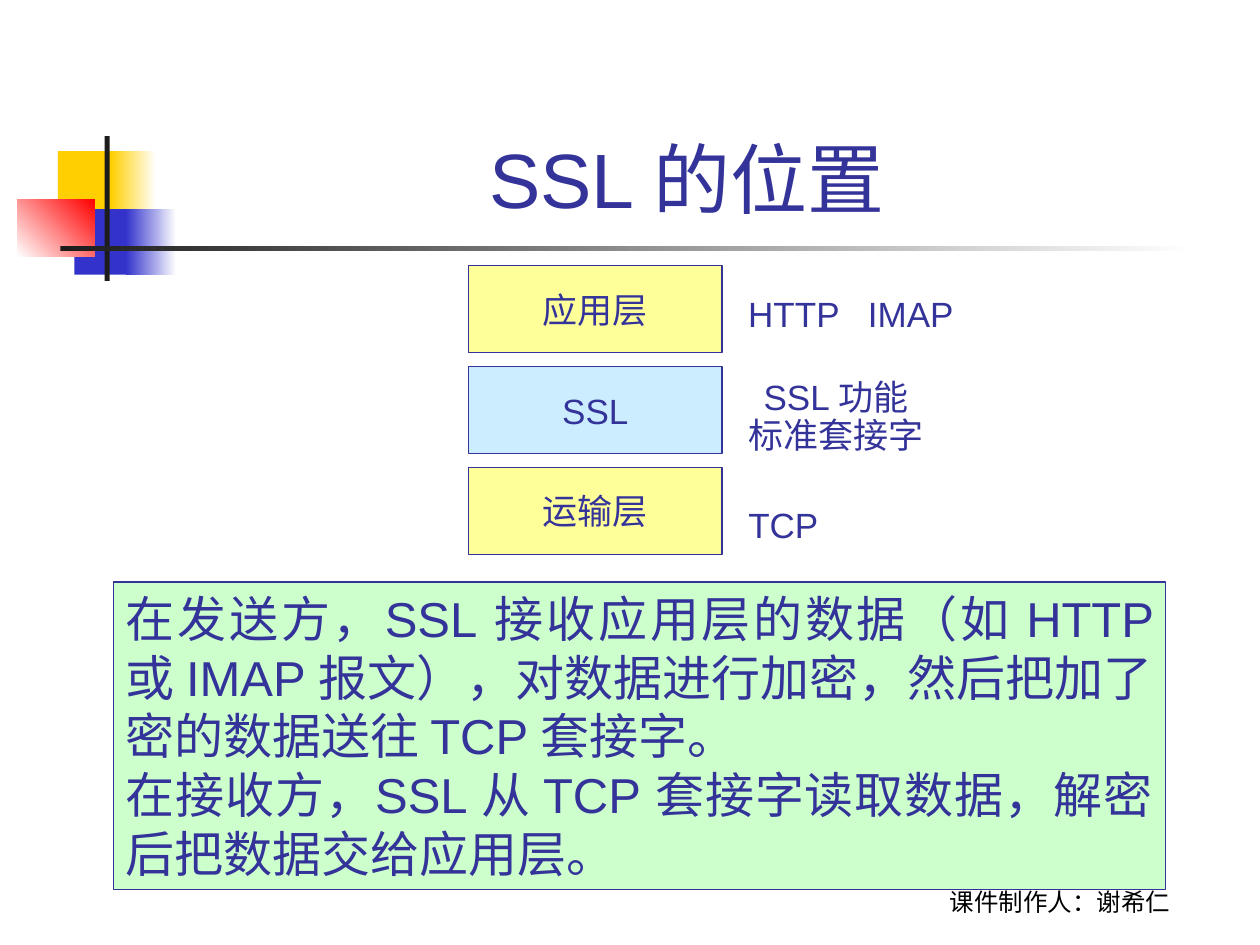
from dataclasses import dataclass

from lxml.etree import SubElement
from pptx import Presentation
from pptx.dml.color import RGBColor
from pptx.enum.shapes import MSO_SHAPE
from pptx.enum.text import MSO_ANCHOR, MSO_AUTO_SIZE, PP_ALIGN
from pptx.oxml.ns import qn
from pptx.util import Inches, Pt


@dataclass(frozen=True)
class Theme:
    ink: str = "333399"
    black: str = "000000"
    bar: str = "1C1C1C"
    white: str = "FFFFFF"
    gold: str = "FFCF01"
    blue: str = "3333CC"
    red: str = "FF0000"
    layer: str = "FFFF99"
    ssl: str = "CCECFF"
    note: str = "CCFFCC"
    font: str = "Arial"
    credit_font: str = "Cabin"
    title_size: int = 44
    note_size: int = 28
    label_size: int = 20
    credit_size: int = 14


THEME = Theme()


def set_all(target, values):
    for name, value in values.items():
        setattr(target, name, value)


def write(shape, lines, size, align=PP_ALIGN.LEFT, color=THEME.ink,
          font=THEME.font, spacing=None, **frame_format):
    frame = shape.text_frame
    set_all(frame, {"word_wrap": True, "auto_size": MSO_AUTO_SIZE.NONE,
                    "vertical_anchor": MSO_ANCHOR.TOP, **frame_format})
    frame.text = "\n".join(lines)
    for paragraph in frame.paragraphs:
        set_all(paragraph, {"alignment": align, "line_spacing": spacing})
        run_font = paragraph.runs[0].font
        set_all(run_font, {"size": Pt(size), "name": font})
        run_font.color.rgb = RGBColor.from_string(color)


def add_box(slide, place, colors, angle=0, outline=None):
    box = slide.shapes.add_shape(MSO_SHAPE.RECTANGLE, *map(Inches, place))
    box.shadow.inherit = False
    if len(colors) == 1:
        box.fill.solid()
        box.fill.fore_color.rgb = RGBColor.from_string(colors[0])
    else:
        box.fill.gradient()
        box.fill.gradient_angle = angle
        for stop, color in zip(box.fill.gradient_stops, colors):
            stop.color.rgb = RGBColor.from_string(color)
    if outline:
        box.line.color.rgb = RGBColor.from_string(outline)
        box.line.width = Pt(0.75)
    else:
        box.line.fill.background()
    return box


def add_text(slide, place, lines, size, **text_format):
    label = slide.shapes.add_textbox(*map(Inches, place))
    write(label, lines, size, **text_format)
    return label


def add_tab_stop(label, position):
    properties = label.text_frame.paragraphs[0]._p.get_or_add_pPr()
    stops = SubElement(properties, qn("a:tabLst"))
    SubElement(stops, qn("a:tab"), pos=str(Inches(position)), algn="l")


def add_ornament(slide):
    for place, colors, angle in (
        ((0.46, 1.2, 0.48, 0.52), [THEME.gold], 0),
        ((0.88, 1.2, 0.36, 0.52), [THEME.gold, THEME.white], 0),
        ((0.59, 1.66, 0.46, 0.52), [THEME.blue], 0),
        ((1, 1.66, 0.4, 0.52), [THEME.blue, THEME.white], 0),
        ((0.14, 1.58, 0.61, 0.46), [THEME.white, THEME.red], 45),
        ((0.83, 1.08, 0.04, 1.15), [THEME.bar], 0),
        ((0.48, 1.95, 9, 0.04), [THEME.bar, THEME.white], 0),
    ):
        add_box(slide, place, colors, angle)


def add_title(slide, text):
    title = slide.shapes.title
    set_all(title, {"left": Inches(1.26), "top": Inches(0.23),
                    "width": Inches(8.52), "height": Inches(1.6)})
    write(title, [text], THEME.title_size, PP_ALIGN.CENTER,
          vertical_anchor=MSO_ANCHOR.BOTTOM)


def add_layers(slide):
    layers = (("应用层", THEME.layer), ("SSL", THEME.ssl), ("运输层", THEME.layer))
    for row, (name, color) in enumerate(layers):
        layer = add_box(slide, (3.72, 2.11 + 0.8 * row, 2.01, 0.69), [color],
                        outline=THEME.ink)
        write(layer, [name], THEME.label_size, PP_ALIGN.CENTER,
              vertical_anchor=MSO_ANCHOR.MIDDLE, word_wrap=False)


def add_layer_labels(slide):
    fit = {"word_wrap": False, "auto_size": MSO_AUTO_SIZE.SHAPE_TO_FIT_TEXT}
    protocols = add_text(slide, (5.84, 2.27, 1.84, 0.44), ["HTTP\tIMAP"],
                         THEME.label_size, **fit)
    add_tab_stop(protocols, 0.95)
    add_text(slide, (5.84, 2.97, 1.59, 0.7), ["SSL 功能", "标准套接字"],
             THEME.label_size, align=PP_ALIGN.CENTER, spacing=0.9, **fit)
    add_text(slide, (5.84, 3.95, 0.85, 0.44), ["TCP"], THEME.label_size,
             word_wrap=False)


def add_explanation(slide):
    explanation = add_box(slide, (0.9, 4.62, 8.35, 2.44), [THEME.note],
                          outline=THEME.ink)
    write(explanation, [
        "在发送方，SSL 接收应用层的数据（如 HTTP 或 IMAP 报文），"
        "对数据进行加密，然后把加了密的数据送往 TCP 套接字。",
        "在接收方，SSL 从 TCP 套接字读取数据，解密后把数据交给应用层。",
    ], THEME.note_size, PP_ALIGN.JUSTIFY,
        auto_size=MSO_AUTO_SIZE.SHAPE_TO_FIT_TEXT)


def main():
    deck = Presentation()
    set_all(deck, {"slide_width": Inches(10), "slide_height": Inches(7.5)})
    slide = deck.slides.add_slide(deck.slide_layouts.get_by_name("Title Only"))
    add_ornament(slide)
    add_text(slide, (6.83, 6.82, 3.17, 0.5), ["课件制作人：谢希仁"],
             THEME.credit_size, align=PP_ALIGN.CENTER, color=THEME.black,
             font=THEME.credit_font, vertical_anchor=MSO_ANCHOR.BOTTOM)
    add_title(slide, "SSL 的位置 ")
    add_layers(slide)
    add_layer_labels(slide)
    add_explanation(slide)
    deck.save("out.pptx")


if __name__ == "__main__":
    main()
